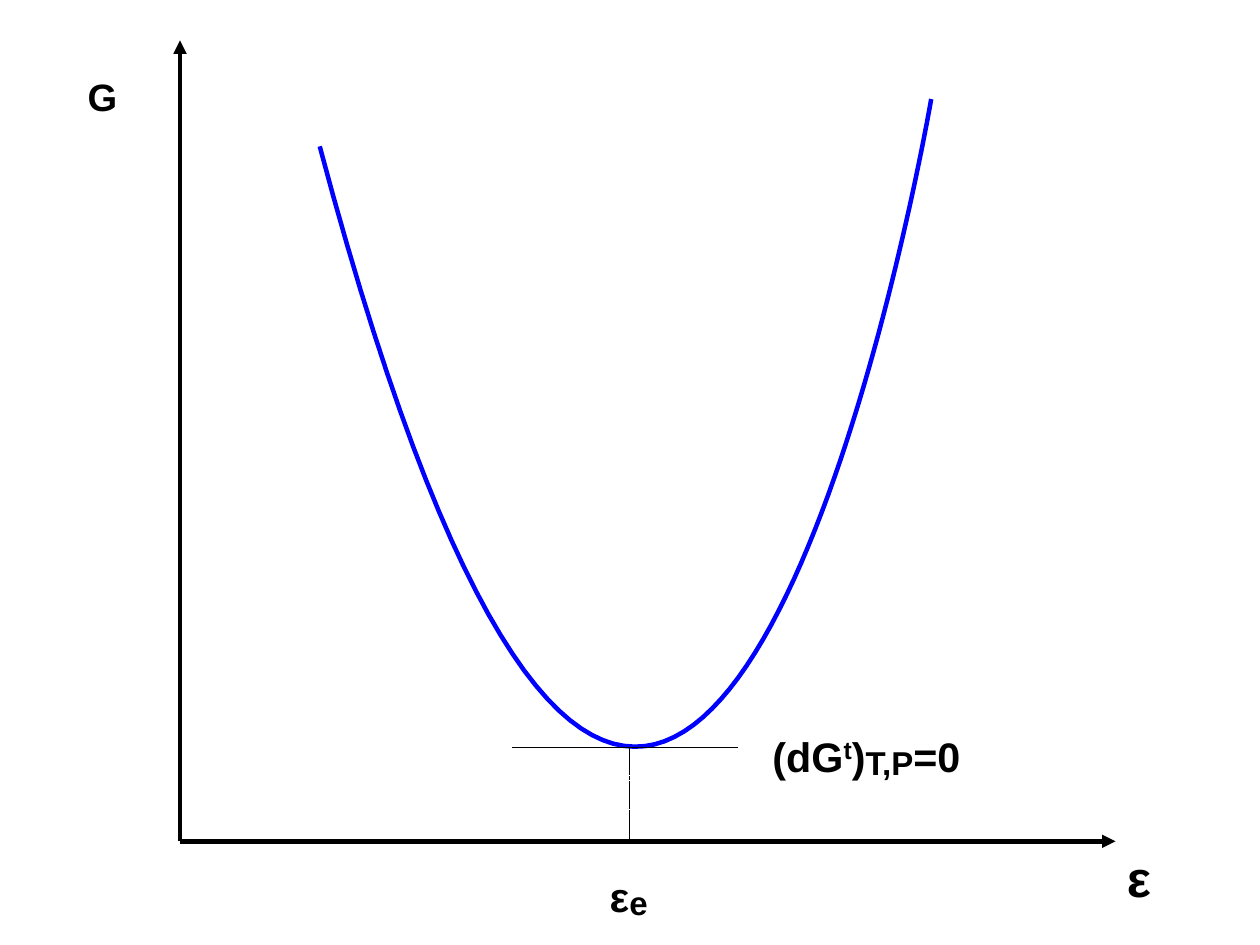
from dataclasses import dataclass

from lxml import etree
from pptx import Presentation
from pptx import util as u
from pptx.dml.color import RGBColor
from pptx.enum import dml, shapes, text
from pptx.oxml.ns import qn


@dataclass(frozen=True)
class Theme:
    font: str = "Arial"
    ink: RGBColor = RGBColor(0, 0, 0)
    curve: RGBColor = RGBColor(0, 0, 255)
    heavy: float = 2.83
    hairline: float = 0
    axis_name: float = 24
    variable: float = 32
    formula: float = 26
    subscript: float = 35.9
    superscript: float = 26.9


THEME = Theme()

# Content: each label is a box, a base size and runs of (text, raise in %)
LABELS = [
    ((48.2, 42.5, 33.1, 33.8), THEME.axis_name, [("G", 0)]),
    ((702.7, 529.6, 29.5, 43.2), THEME.variable, [("ε", 0)]),
    ((377, 535.7, 38.2, 40.3), THEME.formula, [("ε", 0), ("e", -4)]),
    ((479.5, 447.5, 135, 41), THEME.formula,
     [("(dG", 0), ("t", 32), (")", 0), ("T,P", -4), ("=0", 0)]),
]

# Diagram geometry
SLIDE_SIZE = (793.7, 595.28)
ORIGIN = (113.4, 530)
G_AXIS_END = (ORIGIN[0], 25.5)
EXTENT_AXIS_END = (702.7, ORIGIN[1])
MINIMUM = (396.5, 470.6)
TANGENT_X = (322.9, 464.8)
CURVE_START, CURVE_PULL, CURVE_END = (201.4, 92.2), (432.5, 960.2), (586.6, 62.4)
CURVE_STEPS = 80


def add_line(slide, start, end, width, arrow=False, dash=None):
    line = slide.shapes.add_connector(
        shapes.MSO_CONNECTOR.STRAIGHT, *map(u.Pt, start + end))
    line.line.color.rgb = THEME.ink
    if dash:
        line.line.dash_style = dash
    outline = line._element.spPr.find(qn("a:ln"))
    outline.set("w", str(u.Pt(width)))  # keeps a zero-width hairline explicit
    if arrow:
        etree.SubElement(outline, qn("a:tailEnd"), type="triangle")
    etree.SubElement(line._element.spPr, qn("a:effectLst"))


def add_label(slide, runs, box, size, color=THEME.ink, bold=True):
    frame = slide.shapes.add_textbox(*map(u.Pt, box)).text_frame
    frame.word_wrap = False
    frame.auto_size = text.MSO_AUTO_SIZE.SHAPE_TO_FIT_TEXT
    for words, rise in runs:
        run = frame.paragraphs[0].add_run()
        run.text = words
        font = run.font
        font.name, font.bold, font.color.rgb = THEME.font, bold, color
        font.size = u.Pt(THEME.superscript if rise > 0 else
                         THEME.subscript if rise < 0 else size)
        if rise:
            run._r.get_or_add_rPr().set("baseline", str(rise * 1000))


def curve_point(t):
    """Cubic curve whose second control point is its end."""
    start, pull = (1 - t) ** 3, 3 * t * (1 - t) ** 2
    return tuple(u.Pt(start * a + pull * b + (1 - start - pull) * c)
                 for a, b, c in zip(CURVE_START, CURVE_PULL, CURVE_END))


def add_energy_curve(slide):
    points = [curve_point(i / CURVE_STEPS) for i in range(CURVE_STEPS + 1)]
    builder = slide.shapes.build_freeform(*points[0])
    builder.add_line_segments(points[1:], close=False)
    curve = builder.convert_to_shape()
    curve.fill.background()
    curve.line.color.rgb = THEME.curve
    curve.line.width = u.Pt(THEME.heavy)
    curve.shadow.inherit = False


def main():
    deck = Presentation()
    deck.slide_width, deck.slide_height = map(u.Pt, SLIDE_SIZE)
    slide = deck.slides.add_slide(deck.slide_layouts[6])

    # Axes
    for end in (G_AXIS_END, EXTENT_AXIS_END):
        add_line(slide, ORIGIN, end, THEME.heavy, arrow=True)

    # Energy curve, its tangent and the drop to equilibrium
    add_energy_curve(slide)
    left, right = TANGENT_X
    add_line(slide, (left, MINIMUM[1]), (right, MINIMUM[1]), THEME.hairline)
    add_line(slide, MINIMUM, (MINIMUM[0], ORIGIN[1]), THEME.hairline,
             dash=dml.MSO_LINE.SQUARE_DOT)

    # Labels
    for box, size, runs in LABELS:
        add_label(slide, runs, box=box, size=size)

    deck.save("out.pptx")


if __name__ == "__main__":
    main()
